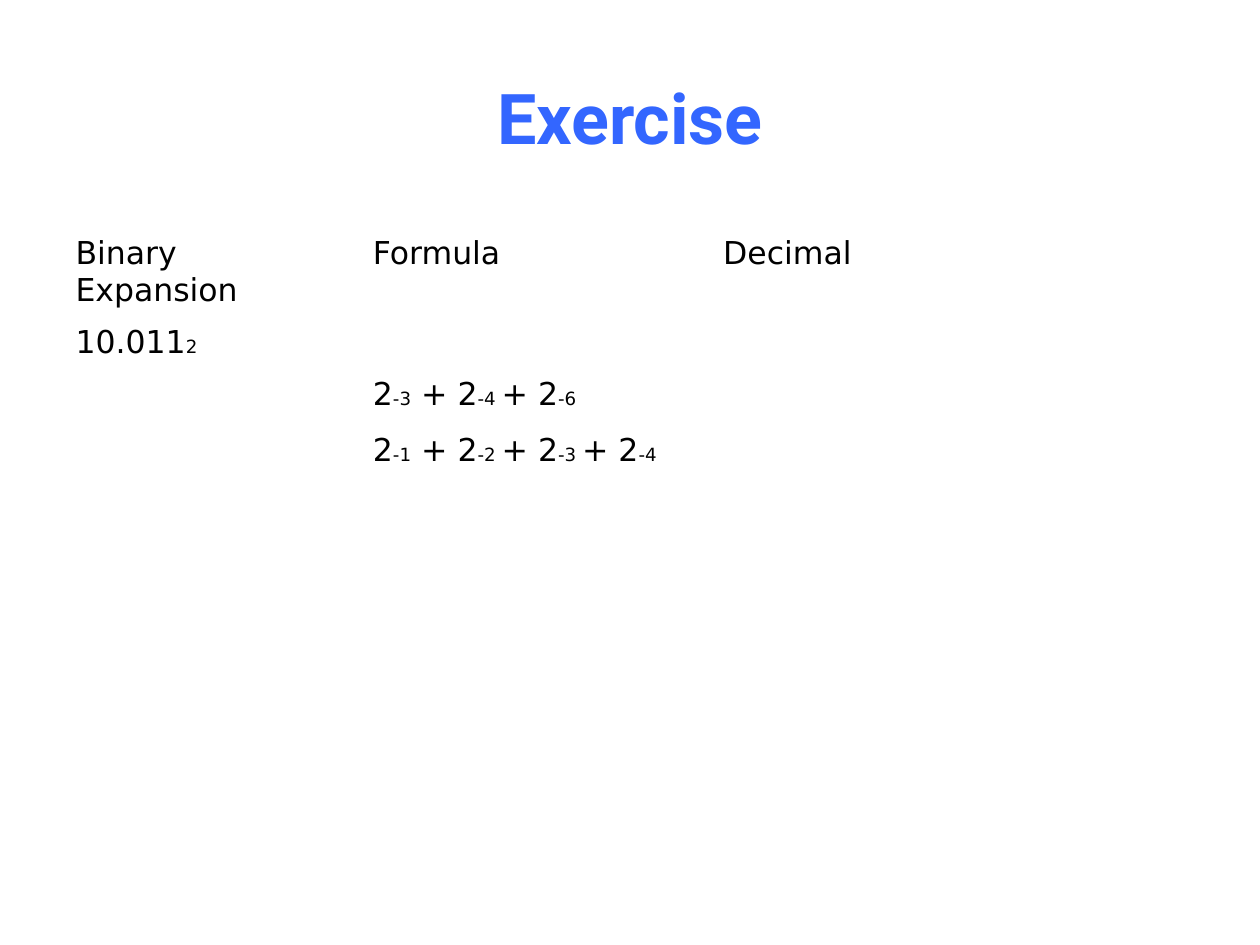
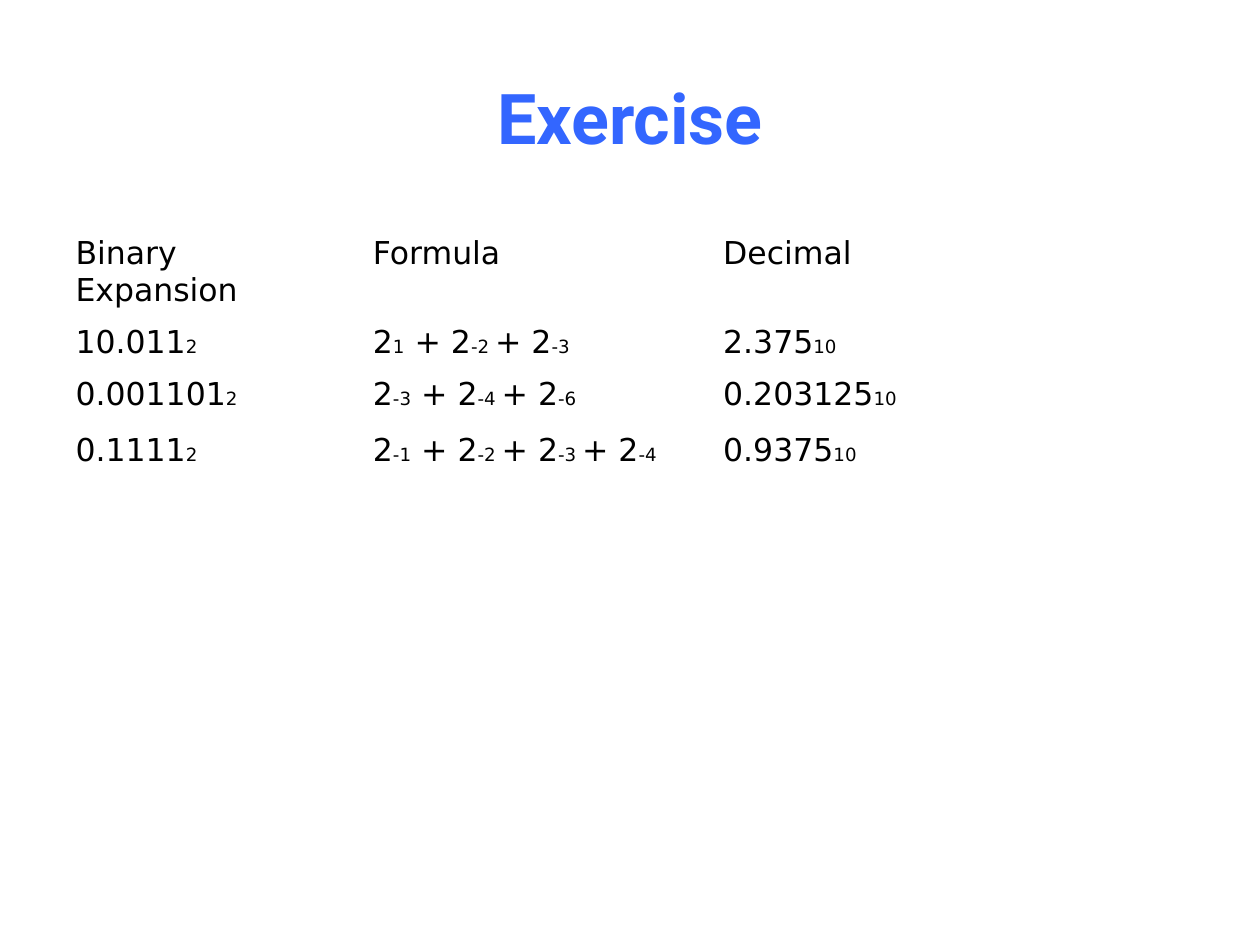
import pptx
import pptx.dml.color
import pptx.enum.text
import pptx.util

Inches = pptx.util.Inches
RGBColor = pptx.dml.color.RGBColor

TITLE = "Exercise"
HEADINGS = ("Binary Expansion", "Formula", "Decimal")
# binary digits, exponents of two, decimal value
NUMBERS = [
    ("10.011", (1, -2, -3), "2.375"),
    ("0.001101", (-3, -4, -6), "0.203125"),
    ("0.1111", (-1, -2, -3, -4), "0.9375"),
]
BINARY, FORMULA, DECIMAL = range(3)
ALL = {BINARY, FORMULA, DECIMAL}
# columns revealed in each row of numbers, one list per slide
SLIDES = [
    [{BINARY}, {FORMULA}, {FORMULA}],
    [ALL, ALL, ALL],
]

TITLE_BLUE = RGBColor(0x33, 0x66, 0xFF)
BLACK = RGBColor(0, 0, 0)
TITLE_FONT = "Roboto"
BODY_FONT = "DejaVu Sans"
SUBSCRIPT, SUPERSCRIPT = -25, 30

SLIDE_WIDTH, SLIDE_HEIGHT = 10, 7.5
MARGIN = 0.05 * SLIDE_WIDTH
TITLE_TOP, TITLE_HEIGHT = 0.04 * SLIDE_HEIGHT, 1.25
TABLE_TOP = 1.82
COLUMN_WIDTHS = (2.36, 2.78, 3.53)
ROW_HEIGHTS = (0.5, 0.42, 0.44, 0.39)
PLAIN_TABLE_STYLE = "{2D5ABB26-0587-4C30-8999-92F81FD0307C}"


def add_text(para, text, font=BODY_FONT, size=18, color=BLACK, bold=False, baseline=0):
    span = para.add_run()
    span.text = text
    span.font.name = font
    span.font.size = pptx.util.Pt(size)
    span.font.color.rgb = color
    span.font.bold = bold
    if baseline:
        span._r.get_or_add_rPr().set("baseline", str(baseline))


def number_parts(digits, base):
    return [(digits, 0), (base, SUBSCRIPT)]


def formula_parts(exponents):
    """Sum of powers of two; inner exponents carry the space before the plus."""
    parts = []
    last = len(exponents) - 1
    for index, exponent in enumerate(exponents):
        lead = ("2", " + 2")[index] if index < 2 else "+ 2"
        gap = " " if 0 < index < last else ""
        parts += [(lead, 0), (f"{exponent}{gap}", SUPERSCRIPT)]
    return parts


def add_title(page):
    box = page.shapes.add_textbox(
        Inches(MARGIN), Inches(TITLE_TOP),
        Inches(SLIDE_WIDTH - 2 * MARGIN), Inches(TITLE_HEIGHT))
    frame = box.text_frame
    frame.word_wrap = True
    frame.vertical_anchor = pptx.enum.text.MSO_ANCHOR.MIDDLE
    para = frame.paragraphs[0]
    para.alignment = pptx.enum.text.PP_ALIGN.CENTER
    add_text(para, TITLE, font=TITLE_FONT, size=40, color=TITLE_BLUE, bold=True)


def add_number_table(page, revealed):
    rows = [[[(heading, 0)] for heading in HEADINGS]]
    for (binary, exponents, decimal), shown in zip(NUMBERS, revealed):
        cells = (number_parts(binary, "2"), formula_parts(exponents),
                 number_parts(decimal, "10"))
        rows.append([parts if column in shown else []
                     for column, parts in enumerate(cells)])

    frame = page.shapes.add_table(
        len(rows), len(HEADINGS), Inches(MARGIN), Inches(TABLE_TOP),
        Inches(sum(COLUMN_WIDTHS)), Inches(sum(ROW_HEIGHTS)))
    table = frame.table
    table.first_row = table.horz_banding = False
    table._tbl.tblPr[0].text = PLAIN_TABLE_STYLE
    for column, width in zip(table.columns, COLUMN_WIDTHS):
        column.width = Inches(width)
    for row, height, contents in zip(table.rows, ROW_HEIGHTS, rows):
        row.height = Inches(height)
        for cell, parts in zip(row.cells, contents):
            cell.fill.background()
            for text, baseline in parts:
                add_text(cell.text_frame.paragraphs[0], text, baseline=baseline)


def main():
    deck = pptx.Presentation()
    deck.slide_width, deck.slide_height = Inches(SLIDE_WIDTH), Inches(SLIDE_HEIGHT)
    for revealed in SLIDES:
        page = deck.slides.add_slide(deck.slide_layouts[6])
        add_title(page)
        add_number_table(page, revealed)
    deck.save("out.pptx")


if __name__ == "__main__":
    main()
